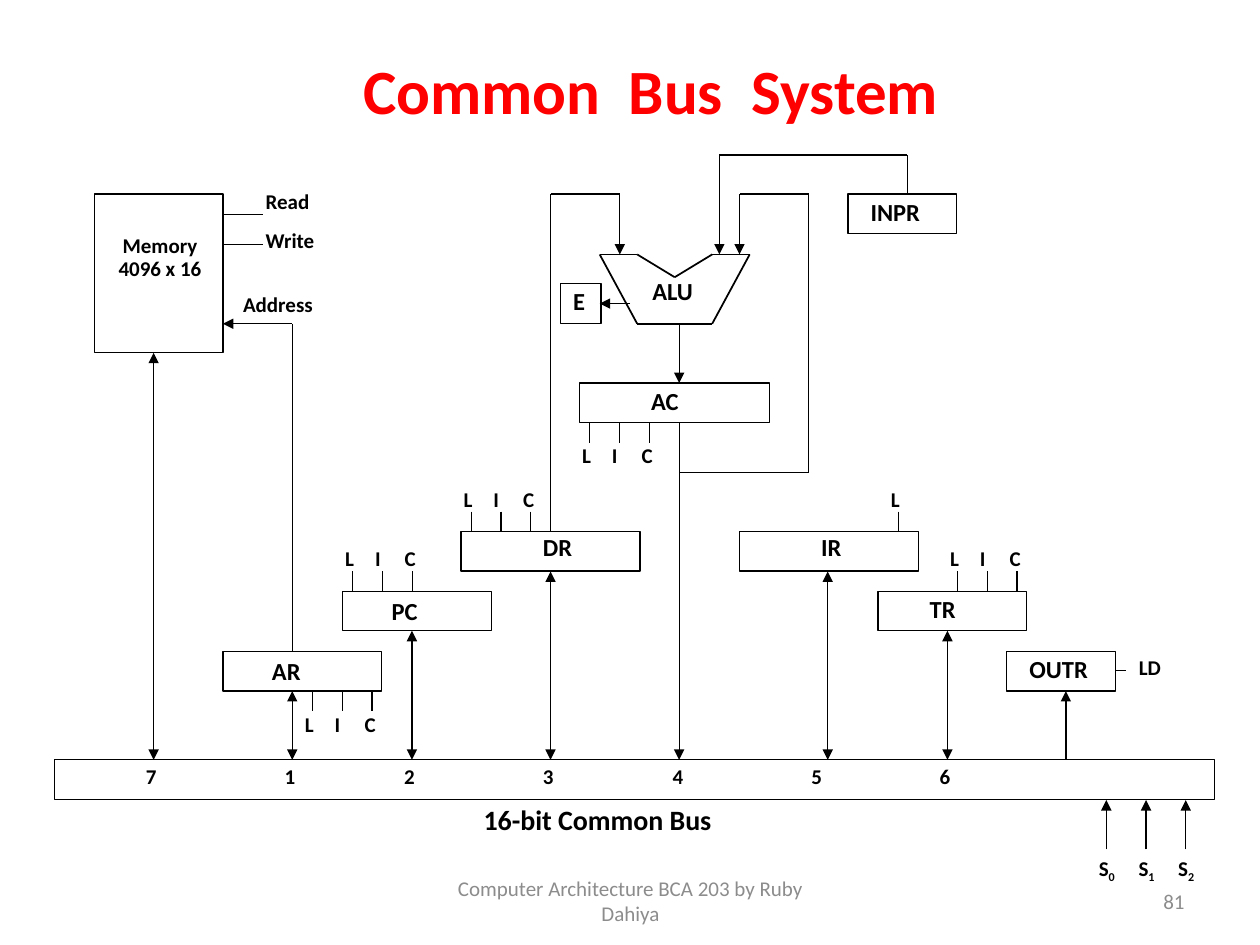
from lxml import etree
from pptx import Presentation
from pptx.dml.color import RGBColor
from pptx.enum.shapes import MSO_CONNECTOR, MSO_SHAPE
from pptx.enum.text import MSO_ANCHOR, MSO_AUTO_SIZE, PP_ALIGN
from pptx.oxml.ns import qn
from pptx.util import Pt

LINE, RECT = MSO_CONNECTOR.STRAIGHT, MSO_SHAPE.RECTANGLE
MID, FIT = MSO_ANCHOR.MIDDLE, MSO_AUTO_SIZE.SHAPE_TO_FIT_TEXT
LEFT, CENTER, RIGHT = PP_ALIGN.LEFT, PP_ALIGN.CENTER, PP_ALIGN.RIGHT
FONT = "Calibri"
COLORS = {"ink": "000000", "title": "FF0000", "foot": "8C8C8C"}
BUS_TOP = 434.2
REG_H = 22.6   # height of a register
GAP = 17       # step between control ticks
TICK = 11.4    # length of a control tick


def style(para, size, color, bold):
    for run in para.runs:
        run.font.name, run.font.size, run.font.bold = FONT, Pt(size), bold
        run.font.color.rgb = RGBColor.from_string(COLORS[color])


def label(slide, box, text, size=12, align=LEFT, color="ink", space=0.9):
    """Bold text on lines of its own; returns the text frame."""
    frame = slide.shapes.add_textbox(*map(Pt, box)).text_frame
    frame.word_wrap, frame.auto_size = False, FIT
    frame.text = text
    for para in frame.paragraphs:
        para.alignment, para.line_spacing = align, space
        style(para, size, color, True)
    return frame


def footer(slide, box, text, align):
    frame = slide.shapes.add_textbox(*map(Pt, box)).text_frame
    frame.word_wrap, frame.vertical_anchor = True, MID
    frame.text = text
    frame.paragraphs[0].alignment = align
    style(frame.paragraphs[0], 12, "foot", False)


def block(slide, box):
    shape = slide.shapes.add_shape(RECT, *map(Pt, box))
    shape.shadow.inherit = False
    shape.fill.background()
    shape.line.color.rgb = RGBColor.from_string(COLORS["ink"])
    shape.line.width = Pt(0.75)


def wire(slide, points, head=False, tail=False, width=0.75):
    """Straight lines through the points, with arrowheads at the ends."""
    last = len(points) - 2
    for i, (start, end) in enumerate(zip(points, points[1:])):
        link = slide.shapes.add_connector(LINE, *map(Pt, start + end))
        link.line.color.rgb = RGBColor.from_string(COLORS["ink"])
        link.line.width = Pt(width)
        ln = link.line._get_or_add_ln()
        if head and i == 0:
            etree.SubElement(ln, qn("a:headEnd"), type="triangle")
        if tail and i == last:
            etree.SubElement(ln, qn("a:tailEnd"), type="triangle")
        etree.SubElement(link._element.spPr, qn("a:effectLst"))


def pins(slide, x, edge, names, above):
    """Control ticks and their letters on one edge of a register."""
    widths = {"L": 21.6, "I": 18, "C": 23}
    tip, top = (edge - TICK, edge - 28) if above else (edge + TICK, edge + 9.7)
    for i, name in enumerate(names):
        tick = x + i * GAP
        wire(slide, [(tick, min(edge, tip)), (tick, max(edge, tip))])
        label(slide, (tick - TICK, top, widths[name], 20.2), name)


def register(slide, box, name, inset, text_w, ctrl="", pin=0, above=True):
    """Register box; inset and pin are measured from its left top corner."""
    x, y, w, h = box
    block(slide, box)
    label(slide, (x + inset[0], y + inset[1], text_w, 22.3), name, 14)
    pins(slide, x + pin, y if above else y + h, ctrl, above)


def memory(slide, box):
    x, y, w, h = box
    edge = x + w
    block(slide, box)
    label(slide, (x + 3.6, y + 20.2, 67.7, 33.1), "Memory\n4096 x 16", align=CENTER)
    for name, dy, text_dy, text_w in (("Read", 11.5, -5, 43.9), ("Write", 28.8, 17.3, 44.6)):
        wire(slide, [(edge, y + dy), (edge + 23, y + dy)])
        label(slide, (edge + 17.3, y + text_dy, text_w, 20.2), name)
    label(slide, (edge + 4.4, y + 54, 62.6, 20.2), "Address")


def alu(slide, box):
    x, y, w, h = box
    left, right, base = x + w / 4, x + w * 3 / 4, y + h
    wire(slide, [(x, y), (left, y), (x + w / 2, y + 13), (right, y), (x + w, y),
                 (right, base), (left, base), (x, y)], width=1)
    label(slide, (x + 23, y + 10.8, 43.2, 22.3), "ALU", 14)


def bus(slide, box):
    x, y, w, h = box
    block(slide, box)
    label(slide, (x + 238.3, y + h + 0.3, 165.6, 24.5), "16-bit Common Bus", 16)
    for num, dx in enumerate((124.5, 192.9, 272.1, 346.3, 425.5, 498.9, 45.3), 1):
        label(slide, (x + dx, y, 20.9, 20.2), str(num))


def selects(slide, box):
    """Select inputs, spread evenly below the bus."""
    x, y, w, h = box
    for i in range(3):
        left = x + i * w / 2
        wire(slide, [(left, y + h), (left, y)], tail=True)
        frame = label(slide, (left - TICK, y + h, 27.4, 20.2), "S")
        para = frame.paragraphs[0]
        para.add_run().text = str(i)
        style(para, 12, "ink", True)
        para.runs[1].font._element.set("baseline", "-25000")


def links(slide, box):
    """Data paths in the area above the bus."""
    x, y, w, h = box
    base = y + h
    # Two-way links to the bus
    for dx, top in ((56.8, 201.6), (136, 394.9), (204.4, 360.5), (283.6, 326.6),
                    (442, 326.6), (510.4, 360.5)):
        wire(slide, [(x + dx, top), (x + dx, base)], head=True, tail=True)
    # One-way links
    wire(slide, [(x + 357.1, 241.4), (x + 357.1, base)], tail=True)
    wire(slide, [(x + 578.1, base), (x + 578.1, 394.9)], tail=True)
    wire(slide, [(x + 357.1, 185), (x + 357.1, 218.9)], tail=True)
    wire(slide, [(x + 329, 173.5), (x + 311.7, 173.5)], tail=True)
    wire(slide, [(x + 606.9, 383), (x + 612.7, 383)])
    # Bent paths: AR to memory, then DR, AC and INPR to the ALU
    wire(slide, [(x + 136, 372.3), (x + 136, 185), (x + 96.4, 185)], tail=True)
    wire(slide, [(x + 283.6, 303.8), (x + 283.6, 110.9), (x + 323.2, 110.9),
                 (x + 323.2, 145.4)], tail=True)
    wire(slide, [(x + 357.1, 270), (x + 431.2, 270), (x + 431.2, 110.9),
                 (x + 391.6, 110.9), (x + 391.6, 145.4)], tail=True)
    wire(slide, [(x + 487.4, 110.9), (x + 487.4, y), (x + 380.1, y),
                 (x + 380.1, 145.4)], tail=True)


def build():
    deck = Presentation()
    deck.slide_width, deck.slide_height = Pt(720), Pt(540)
    slide = deck.slides.add_slide(deck.slide_layouts[6])

    # Title and footer
    frame = label(slide, (200.9, 33.1, 342, 41.8), "Common  Bus  System", 36,
                  CENTER, "title", 0.87)
    frame.margin_left = frame.margin_right = Pt(5)
    frame.margin_top = frame.margin_bottom = Pt(2.2)
    footer(slide, (246.2, 500.4, 228.2, 28.8),
           "Computer Architecture BCA 203 by Ruby Dahiya", CENTER)
    footer(slide, (516.2, 500.4, 167.8, 28.8), "81", RIGHT)

    # Bus, memory and ALU
    bus(slide, (31, BUS_TOP, 663.1, 22.9))
    memory(slide, (54, 110.9, 73.4, 90.7))
    alu(slide, (342.7, 145.4, 85.7, 39.6))

    # Registers
    for box, *rest in (
        ((127.5, 372.3, 90.7, REG_H), "AR", (20.8, 0.8), 34.6, "LIC", 51.1, False),
        ((195.8, 337.9, 85, REG_H), "PC", (20.9, 1.2), 33.8, "LIC", 5.8),
        ((263.5, 303.8, 102.2, REG_H), "DR", (39.6, -1.4), 34.6, "LIC", 5.8),
        ((331.2, 218.9, 108.7, REG_H), "AC", (33.8, 0), 34.6, "LIC", 5.8, False),
        ((422.6, 303.8, 102.2, REG_H), "IR", (39.6, -1.4), 28.8, "L", 90.8),
        ((501.8, 337.9, 85, REG_H), "TR", (22.4, 0), 33.1, "LIC", 45.4),
        ((575.3, 372.3, 62, REG_H), "OUTR", (5.8, 0), 54),
        ((484.6, 110.9, 62, REG_H), "INPR", (5.8, 0), 48.2),
        ((320.4, 162, 23, 23), "E", (0, 0), 23.8),
    ):
        register(slide, box, *rest)
    label(slide, (643.7, 372.3, 30.2, 20.2), "LD")

    # Wiring and select inputs
    links(slide, (31, 88.6, 663.1, BUS_TOP - 88.6))
    selects(slide, (632.2, 457.2, 45.4, 28.1))
    deck.save("out.pptx")


if __name__ == "__main__":
    build()
